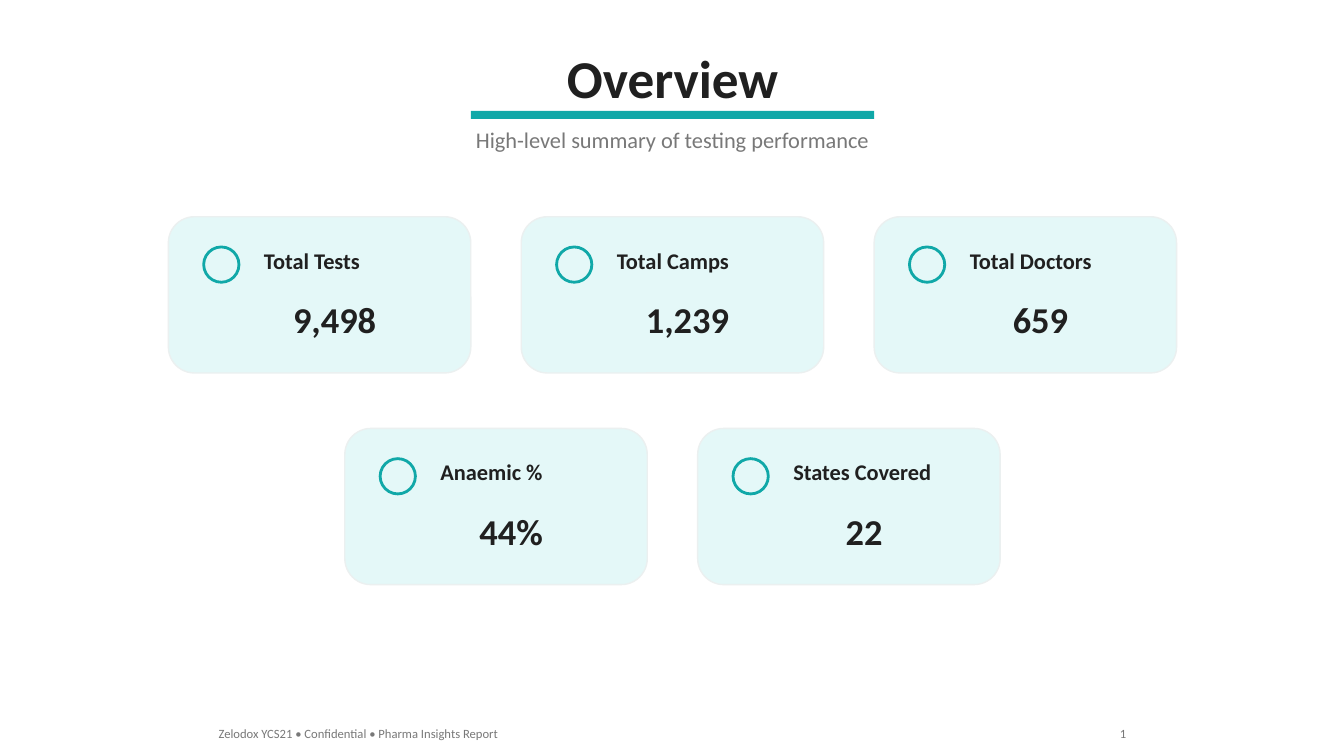
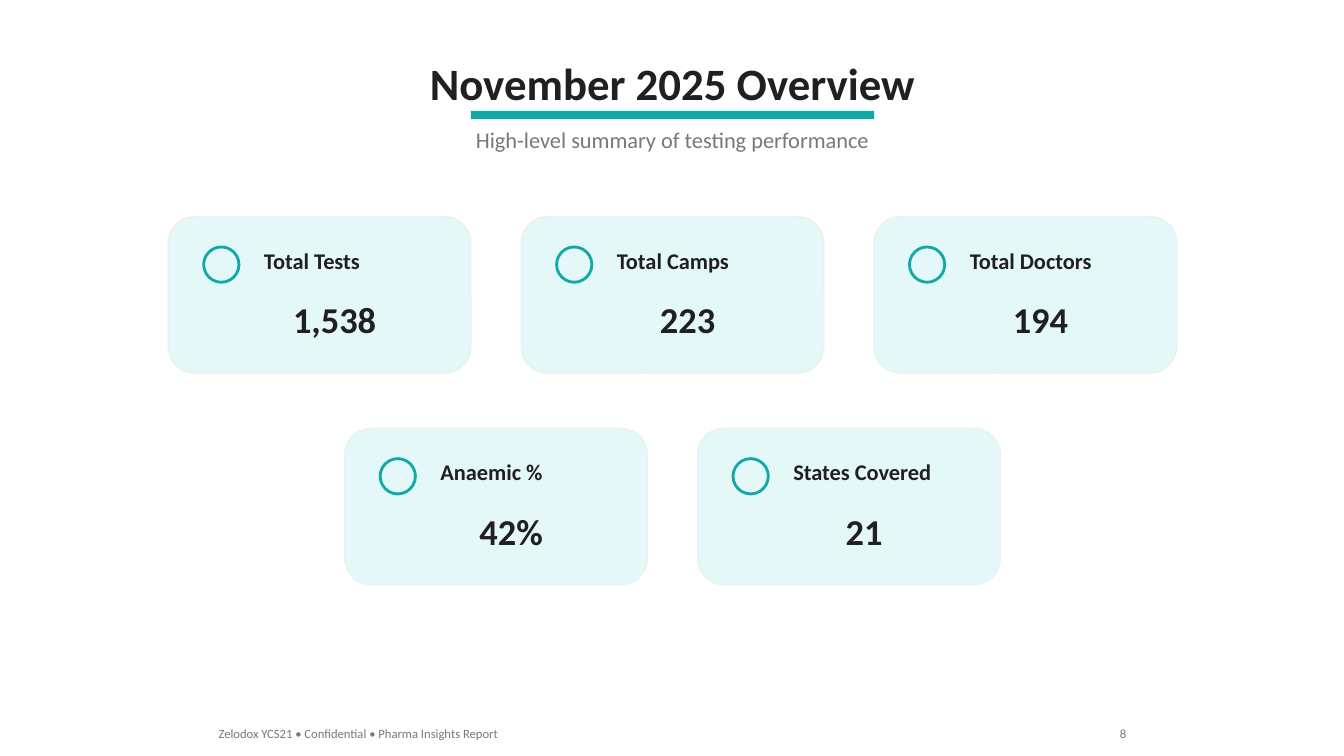
from pptx import Presentation
from pptx.dml.color import RGBColor
from pptx.enum.shapes import MSO_SHAPE
from pptx.enum.text import MSO_ANCHOR, MSO_AUTO_SIZE, PP_ALIGN
from pptx.util import Inches, Pt

RECT, ROUND, OVAL = MSO_SHAPE.RECTANGLE, MSO_SHAPE.ROUNDED_RECTANGLE, MSO_SHAPE.OVAL
LEFT, MID, RIGHT = PP_ALIGN.LEFT, PP_ALIGN.CENTER, PP_ALIGN.RIGHT
TOP, FIXED = MSO_ANCHOR.TOP, MSO_AUTO_SIZE.NONE

# Shared style
FONT = "Calibri"
HEX = {"ink": "202020", "grey": "787878", "teal": "10A8A8",
       "card": "E4F8F8", "edge": "EBF0F0", "page": "FFFFFF"}
COLOR = {name: RGBColor.from_string(code) for name, code in HEX.items()}
AXIS = 6.67
CARD_W, CARD_H, GAP = 3, 1.55, 0.5
ROW_TOP, ROW_STEP = 2.15, 2.1
LABELS = [["Total Tests", "Total Camps", "Total Doctors"],
          ["Anaemic %", "States Covered"]]
FOOTER = "Zelodox YCS21 • Confidential • Pharma Insights Report"

# Title, title top, title size, card values by row, page number
PAGES = [
    ("Overview", 0.4, 38, [["9,498", "1,239", "659"], ["44%", "22"]], "1"),
    ("November 2025 Overview", 0.5, 32, [["1,538", "223", "194"], ["42%", "21"]], "8"),
]


def write(box, x, y, w, h, text, size, color, bold=False, align=LEFT):
    box.left, box.top, box.width, box.height = map(Inches, (x, y, w, h))
    frame = box.text_frame
    frame.word_wrap = True
    frame.auto_size = FIXED
    frame.vertical_anchor = TOP
    para = frame.paragraphs[0]
    para.alignment = align
    run = para.add_run()
    run.text = text
    run.font.name = FONT
    run.font.size = Pt(size)
    run.font.bold = bold
    run.font.color.rgb = COLOR[color]


def draw(slide, kind, x, y, w, h, fill=None, line=None, width=1):
    shape = slide.shapes.add_shape(kind, *map(Inches, (x, y, w, h)))
    shape.shadow.inherit = False
    if fill:
        shape.fill.solid()
        shape.fill.fore_color.rgb = COLOR[fill]
    else:
        shape.fill.background()
    if line:
        shape.line.color.rgb = COLOR[line]
        shape.line.width = Pt(width)
    else:
        shape.line.fill.background()


deck = Presentation()
deck.slide_width, deck.slide_height = Inches(13.33), Inches(7.5)
layout = deck.slide_layouts[5]

for title, title_y, title_size, values, page in PAGES:
    slide = deck.slides.add_slide(layout)
    slide.background.fill.solid()
    slide.background.fill.fore_color.rgb = COLOR["page"]

    # Heading
    write(slide.shapes.title, AXIS - 4, title_y, 8, 0.74, title, title_size,
          "ink", True, MID)
    draw(slide, RECT, AXIS - 2, 1.1, 4, 0.08, "teal")
    notes = [
        # Subtitle, footer and page number
        (AXIS - 3, 1.2, 6, 0.37, "High-level summary of testing performance",
         16, "grey", False, MID),
        (2.07, 7.15, 5, 0.25, FOOTER, 9, "grey"),
        (10.27, 7.15, 1, 0.25, page, 9, "grey", False, RIGHT),
    ]

    # Cards, each row centred on the page
    for row, (names, figures) in enumerate(zip(LABELS, values)):
        count = len(names)
        start = AXIS - (count * CARD_W + (count - 1) * GAP) / 2
        y = ROW_TOP + row * ROW_STEP
        for col, (name, figure) in enumerate(zip(names, figures)):
            x = start + col * (CARD_W + GAP)
            draw(slide, ROUND, x, y, CARD_W, CARD_H, "card", "edge")
            draw(slide, OVAL, x + 0.35, y + 0.3, 0.35, 0.35, line="teal", width=2)
            notes.append((x + 0.85, y + 0.25, 2, 0.37, name, 16, "ink", True))
            notes.append((x + 0.65, y + 0.75, 2, 0.54, figure, 26, "ink", True, MID))

    # Text
    for note in notes:
        write(slide.shapes.add_textbox(0, 0, 0, 0), *note)

deck.save("out.pptx")
